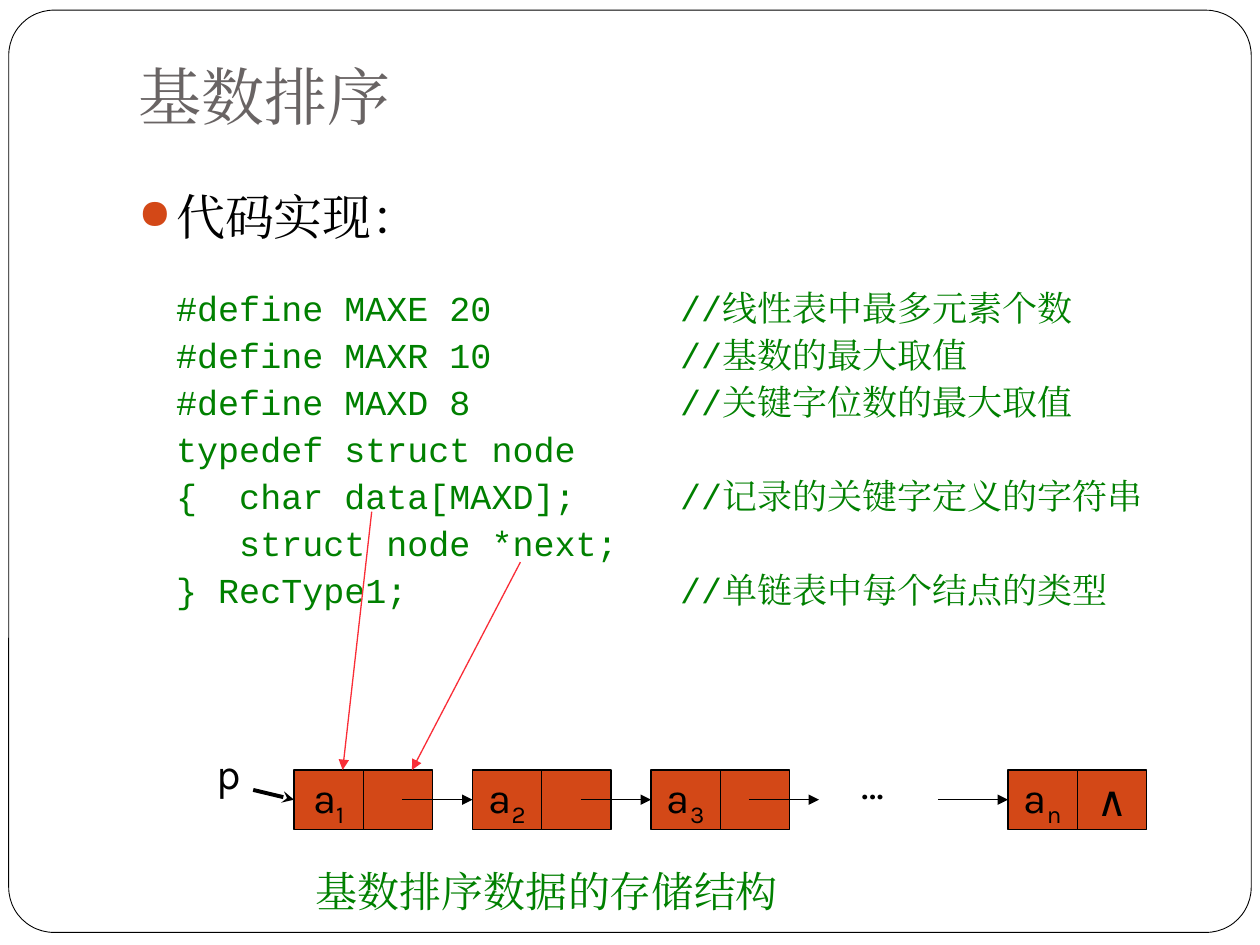
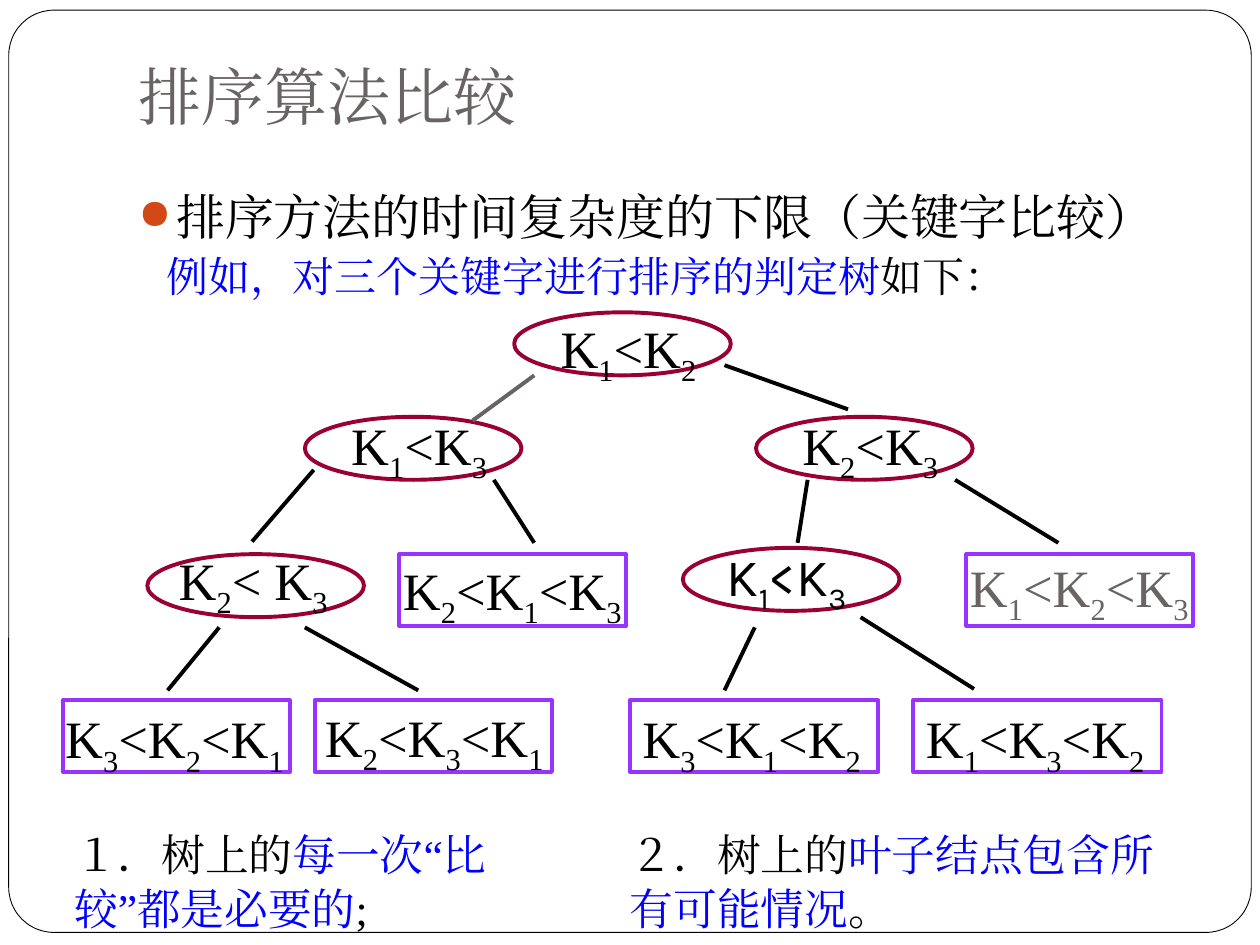
from collections import namedtuple

from lxml import etree
from pptx import Presentation
from pptx.dml.color import RGBColor
from pptx.enum.shapes import MSO_CONNECTOR, MSO_SHAPE
from pptx.enum.text import MSO_ANCHOR, PP_ALIGN
from pptx.oxml.ns import qn
from pptx.util import Pt

RECTANGLE = MSO_SHAPE.RECTANGLE
ELLIPSE = MSO_SHAPE.OVAL
ROUNDED = MSO_SHAPE.ROUNDED_RECTANGLE
STRAIGHT = MSO_CONNECTOR.STRAIGHT
TOP, MIDDLE, BOTTOM = MSO_ANCHOR.TOP, MSO_ANCHOR.MIDDLE, MSO_ANCHOR.BOTTOM
LEFT, CENTER, JUSTIFY = PP_ALIGN.LEFT, PP_ALIGN.CENTER, PP_ALIGN.JUSTIFY
LEFT_SIDE = 1

COLORS = {
    "paper": "FFFFFF",
    "ink": "000000",
    "title": "696464",
    "accent": "D34817",
    "code": "008000",
    "emphasis": "0000FF",
    "pointer": "F92D37",
    "judge": "990033",
    "leaf": "9933FF",
}
TITLE_FONT = "Cabin"
SHAPE_FONT = "Karla"
CODE_FONT = "Courier New"
TEXT_FONT = "Times New Roman"
CHINESE_FONT = "Noto Sans CJK SC"

Box = namedtuple("Box", "left top width height")
FRAME = Box(5, 5.8, 710, 527)
TITLE = Box(72, 15, 612, 68.5)
BODY = Box(72, 96.5, 612, 385)


def rgb(name):
    return RGBColor.from_string(COLORS[name])


def inside(region, left, top, width=0, height=0):
    return Box(region.left + left, region.top + top, width, height)


def subscripted(formula):
    """Turn "K_1<K_2" into runs whose character after each _ is lowered."""
    first, *others = formula.split("_")
    runs = [(first, {})]
    for piece in others:
        runs.append((piece[0], {"lowered": True}))
        if piece[1:]:
            runs.append((piece[1:], {}))
    return runs


def format_run(span, size, font, color, lowered=False):
    span.font.size = Pt(size)
    span.font.name = font
    span.font.color.rgb = rgb(color)
    properties = span.font._element
    properties.set("lang", "zh-CN")
    if lowered:
        properties.set("baseline", "-25000")
    etree.SubElement(properties, qn("a:ea"), typeface=TEXT_FONT)


def add_bullet(para, indent):
    properties = para._p.get_or_add_pPr()
    properties.set("marL", str(Pt(indent)))
    properties.set("indent", str(-Pt(indent)))
    color = etree.SubElement(properties, qn("a:buClr"))
    etree.SubElement(color, qn("a:srgbClr"), val=COLORS["accent"])
    etree.SubElement(properties, qn("a:buSzPct"), val="85000")
    etree.SubElement(properties, qn("a:buChar"), char="●")


def add_tab(para, position):
    tabs = etree.SubElement(para._p.get_or_add_pPr(), qn("a:tabLst"))
    etree.SubElement(tabs, qn("a:tab"), pos=str(Pt(position)), algn="l")


def write(shape, paragraphs, size=24, font=SHAPE_FONT, color="ink", align=LEFT,
          anchor=TOP, wrap=True, spacing=None, bullet=None, tab=None, bottom=3.6):
    """Fill a shape; each paragraph is a string or a list of (text, changes)."""
    frame = shape.text_frame
    frame.word_wrap = wrap
    frame.vertical_anchor = anchor
    frame.margin_left = frame.margin_right = Pt(7.2)
    frame.margin_top, frame.margin_bottom = Pt(3.6), Pt(bottom)
    for index, content in enumerate(paragraphs):
        para = frame.add_paragraph() if index else frame.paragraphs[0]
        para.alignment = align
        if spacing:
            para.line_spacing = spacing
        if bullet:
            add_bullet(para, bullet)
        if tab:
            add_tab(para, tab)
        runs = [(content, {})] if isinstance(content, str) else content
        for text, changes in runs:
            span = para.add_run()
            span.text = text
            format_run(span, **{"size": size, "font": font, "color": color, **changes})


def add_text(page, box, *paragraphs, **style):
    write(page.shapes.add_textbox(*map(Pt, box)), paragraphs, **style)


def add_outline(page, kind, box, line, weight, fill=None):
    shape = page.shapes.add_shape(kind, *map(Pt, box))
    shape.shadow.inherit = False
    if fill:
        shape.fill.solid()
        shape.fill.fore_color.rgb = rgb(fill)
    else:
        shape.fill.background()
    shape.line.color.rgb = rgb(line)
    shape.line.width = Pt(weight)
    return shape


def add_line(page, start, end, color="ink", weight=0.75, head=None, target=None):
    """Draw a line; with a target, its end joins the target's left side."""
    line = page.shapes.add_connector(STRAIGHT, *map(Pt, (*start, *end)))
    if target is not None:
        line.end_connect(target, LEFT_SIDE)
    line.line.color.rgb = rgb(color)
    line.line.width = Pt(weight)
    if head:
        etree.SubElement(line.line._get_or_add_ln(), qn("a:tailEnd"), type=head)
    etree.SubElement(line._element.spPr, qn("a:effectLst"))


def add_page(deck, title, point, point_font):
    page = deck.slides.add_slide(deck.slide_layouts[6])
    frame = add_outline(page, ROUNDED, FRAME, "ink", 0.5, "paper")
    frame.adjustments[0] = 0.049
    add_text(page, TITLE, title, size=36, font=TITLE_FONT, color="title",
             anchor=BOTTOM, bottom=7.2)
    add_text(page, BODY, point, size=28, font=point_font, spacing=1.2, bullet=21.6)
    return page


def add_code(page, box):
    add_text(
        page, box,
        "#define MAXE 20\t//线性表中最多元素个数",
        "#define MAXR 10\t//基数的最大取值",
        "#define MAXD 8\t//关键字位数的最大取值",
        "typedef struct node",
        "{  char data[MAXD];\t//记录的关键字定义的字符串",
        "   struct node *next;",
        "} RecType1;\t//单链表中每个结点的类型",
        size=20, font=CODE_FONT, color="code", align=JUSTIFY, spacing=1.12, tab=288)


def add_linked_list(page, region):
    step, cell_width, cell_height, arrow_length = 102, 39.6, 34, 40
    middle = cell_height / 2
    heads = {}
    for slot, name, link in ((0, "a_1", ""), (1, "a_2", ""), (2, "a_3", ""),
                             (4, "a_n", "∧")):
        for part, label in enumerate((name, link)):
            box = inside(region, slot * step + part * cell_width, 0,
                         cell_width, cell_height)
            cell = add_outline(page, RECTANGLE, box, "ink", 0.75, "accent")
            if label:
                write(cell, [subscripted(label)], align=CENTER, anchor=MIDDLE, wrap=False)
            if part == 0:
                heads[slot] = cell

    for slot, end in ((1, step), (2, 2 * step), (3, 3 * step - 6), (4, 4 * step)):
        add_line(page, inside(region, end - arrow_length, middle)[:2],
                 inside(region, end, middle)[:2], head="triangle",
                 target=heads.get(slot))

    add_text(page, inside(region, -51.4, -16.6, 28, 36), "p")
    add_line(page, inside(region, -23.3, 11.4)[:2], inside(region, 0, middle)[:2],
             weight=2.25, head="stealth", target=heads[0])
    add_text(page, inside(region, 317.3, -10.8, 34, 36), "…")
    add_text(page, inside(region, 5.5, 51, 346, 36), "基数排序数据的存储结构", color="code")
    for start, end in (((44.4, -147.6), (27.8, 0)), ((129.4, -118.8), (67.4, 0))):
        add_line(page, inside(region, *start)[:2], inside(region, *end)[:2],
                 color="pointer", head="triangle")


def add_decision_tree(page, region):
    formula_style = {"size": 30, "font": TEXT_FONT}
    judge_size, leaf_height = (123.8, 36), 41
    # formula, left, top, label shift right, label shift down, label width
    judges = (
        ("K_1<K_2", 257.8, 1.5, 19.4, -1.4, 93),
        ("K_1<K_3", 138.2, 61.2, 19.4, -5.8, 93),
        ("K_2<K_3", 396, 61.2, 19.4, -5.8, 93),
        ("K_2< K_3", 48.2, 139.7, 10.8, -7.2, 118),
    )
    # formula, left, top, width, label shift right, label shift down, label colour
    leaves = (
        ("K_2<K_1<K_3", 192.2, 139.7, 129.6, -5, -1.4, "ink"),
        ("K_1<K_2<K_3", 516.2, 139.7, 129.6, -5, -2.9, "title"),
        ("K_3<K_2<K_1", 0, 223.2, 129.6, -5.8, 0, "ink"),
        ("K_2<K_3<K_1", 144, 223.2, 135.4, -1.4, -0.7, "ink"),
        ("K_3<K_1<K_2", 324, 223.2, 141.8, 0, 0, "ink"),
        ("K_1<K_3<K_2", 486, 223.2, 141.8, 0, 0, "ink"),
    )
    branches = (
        (269.3, 37.5, 234, 63.4, "title"),
        (378, 31.7, 448.6, 56.9, "ink"),
        (143.3, 91.5, 108, 132.5, "ink"),
        (246.2, 97.2, 269.3, 133.2, "ink"),
        (425.5, 97.2, 419.8, 133.2, "ink"),
        (509.8, 97.2, 568.8, 133.2, "ink"),
        (89.3, 181.5, 59.8, 217.5, "ink"),
        (138.2, 181.5, 203, 217.5, "ink"),
        (395.3, 181.5, 378, 217.5, "ink"),
        (455.8, 175.7, 520.6, 216.7, "ink"),
    )
    for formula, left, top, right, down, width in judges:
        add_outline(page, ELLIPSE, inside(region, left, top, *judge_size), "judge", 2.25)
        add_text(page, inside(region, left + right, top + down, width, 48),
                 subscripted(formula), **formula_style)
    last_judge = add_outline(page, ELLIPSE, inside(region, 354.2, 136.1, *judge_size),
                             "judge", 2.25)
    write(last_judge, [subscripted("K_1<K_3")], size=30, anchor=MIDDLE, wrap=False)

    for formula, left, top, width, right, down, color in leaves:
        add_outline(page, RECTANGLE, inside(region, left, top, width, leaf_height),
                    "leaf", 2.25)
        add_text(page, inside(region, left + right, top + down, 141, 48),
                 subscripted(formula), color=color, **formula_style)

    for x1, y1, x2, y2, color in branches:
        add_line(page, inside(region, x1, y1)[:2], inside(region, x2, y2)[:2],
                 color=color, weight=2.25)


def add_notes_on_tree(page, region):
    emphasis = {"color": "emphasis"}
    notes = (
        (0, 290, "１．树上的", "每一次“比较”都是必要的", ";"),
        (317.5, 325, "２．树上的", "叶子结点包含所有可能情况", "。"),
    )
    for left, width, opening, key, ending in notes:
        add_text(page, inside(region, left, 0, width, region.height),
                 [(opening, {}), (key, emphasis), (ending, {})],
                 size=25, font=TEXT_FONT, spacing=1.03)


def build_storage_page(deck):
    page = add_page(deck, "基数排序", "代码实现：", TEXT_FONT)
    add_code(page, Box(93.6, 157, 578, 192))
    add_linked_list(page, Box(168, 440, 448, 87))


def build_comparison_page(deck):
    page = add_page(deck, "排序算法比较", "排序方法的时间复杂度的下限（关键字比较）",
                    CHINESE_FONT)
    add_text(page, Box(88, 139.7, 515, 36),
             [("例如，对三个关键字进行排序的判定树", {"color": "emphasis"}), ("如下：", {})])
    add_decision_tree(page, Box(36, 177, 646, 272))
    add_notes_on_tree(page, Box(35.3, 468.7, 642, 67.7))


def main():
    deck = Presentation()
    deck.slide_width, deck.slide_height = Pt(720), Pt(540)
    build_storage_page(deck)
    build_comparison_page(deck)
    deck.save("out.pptx")


if __name__ == "__main__":
    main()
